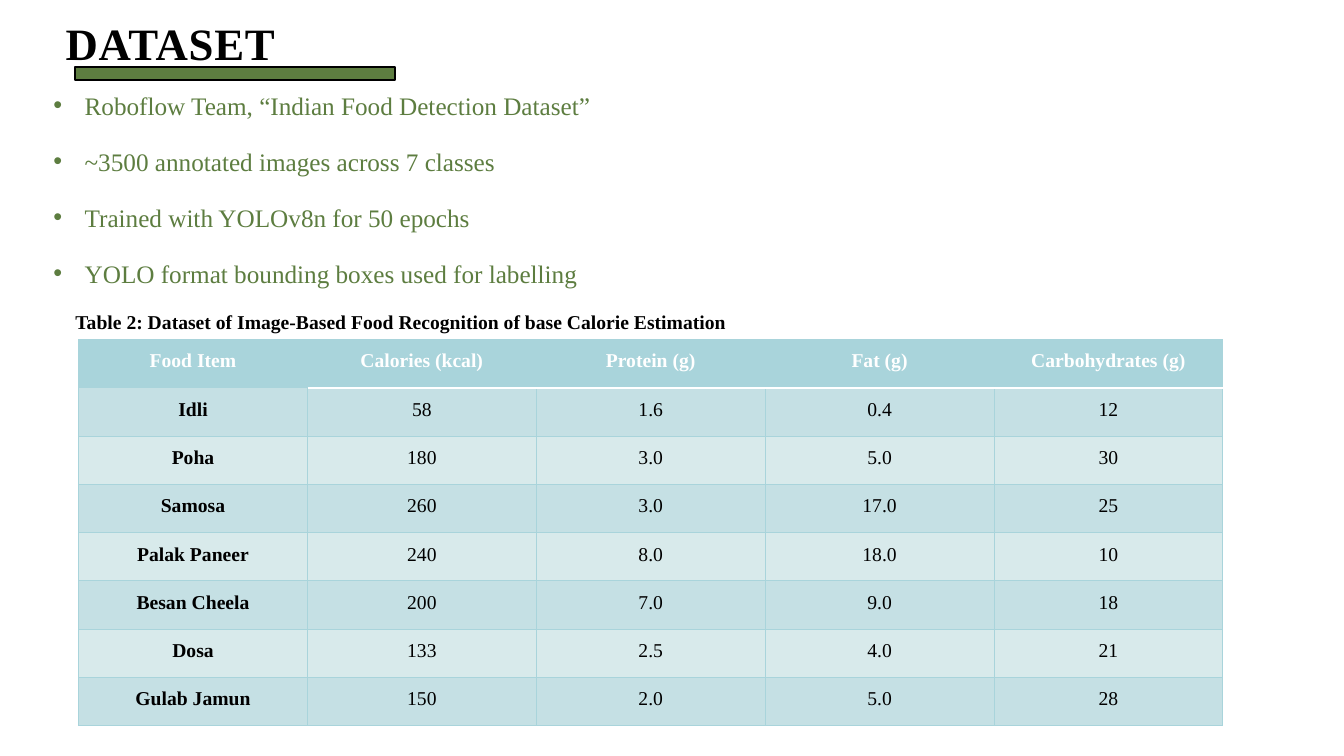
from dataclasses import dataclass

from lxml import etree
from pptx import Presentation
from pptx import util as u
from pptx.dml.color import RGBColor
from pptx.enum import shapes, text
from pptx.oxml import ns

PX = 9144


@dataclass(frozen=True)
class Theme:
    """Colours, font and type sizes of the slide."""
    font: str = "Times New Roman"
    ink: str = "000000"
    white: str = "FFFFFF"
    green: str = "5D7D40"
    teal: str = "A9D4DB"
    bands: tuple = ("C5E0E4", "D8EAEB")
    title: int = 32
    body: int = 18
    small: int = 14


T = Theme()
POINTS = (
    "Roboflow Team, “Indian Food Detection Dataset”",
    "~3500 annotated images across 7 classes",
    "Trained with YOLOv8n for 50 epochs",
    "YOLO format bounding boxes used for labelling",
)
CAPTION = "Table 2: Dataset of Image-Based Food Recognition of base Calorie Estimation"
FOODS = (
    ("Food Item", "Calories (kcal)", "Protein (g)", "Fat (g)", "Carbohydrates (g)"),
    ("Idli", "58", "1.6", "0.4", "12"),
    ("Poha", "180", "3.0", "5.0", "30"),
    ("Samosa", "260", "3.0", "17.0", "25"),
    ("Palak Paneer", "240", "8.0", "18.0", "10"),
    ("Besan Cheela", "200", "7.0", "9.0", "18"),
    ("Dosa", "133", "2.5", "4.0", "21"),
    ("Gulab Jamun", "150", "2.0", "5.0", "28"),
)


def rgb(code):
    """Turn a hex code into a colour."""
    return RGBColor.from_string(code)


def emu(*px):
    """Turn px lengths into EMU."""
    return [u.Emu(n * PX) for n in px]


def write(frame, lines, size, color=T.ink, bold=False, align=None, lead=None,
          gap=0, indent=0, track=0):
    """Fill a text frame with formatted paragraphs."""
    for i, line in enumerate(lines):
        para = frame.paragraphs[0] if i == 0 else frame.add_paragraph()
        if indent:
            props = para._p.get_or_add_pPr()
            props.set("marL", str(indent * PX))
            props.set("indent", str(-indent * PX))
            face = etree.SubElement(props, ns.qn("a:buFont"))
            face.set("typeface", "Arial")
            etree.SubElement(props, ns.qn("a:buChar")).set("char", "•")
        para.alignment = align
        para.line_spacing = lead
        para.space_before = u.Pt(gap if i else 0)
        run = para.add_run()
        run.text = line
        font = run.font
        font.name, font.size, font.bold = T.font, u.Pt(size), bold
        font.color.rgb = rgb(color)
        if track:
            run._r.get_or_add_rPr().set("spc", str(track))


def label(slide, box, lines, size, inset=(0, 0, 0, 0), anchor=text.MSO_ANCHOR.TOP, **form):
    """Place a wrapped text box."""
    frame = slide.shapes.add_textbox(*emu(*box)).text_frame
    frame.word_wrap = True
    frame.vertical_anchor = anchor
    (frame.margin_left, frame.margin_top,
     frame.margin_right, frame.margin_bottom) = emu(*inset)
    write(frame, lines, size, **form)


def edge(cell, side, color=T.teal, width=0.79):
    """Draw one border of a table cell."""
    line = etree.SubElement(cell._tc.get_or_add_tcPr(), ns.qn(f"a:ln{side}"))
    line.set("w", str(u.Pt(width)))
    fill = etree.SubElement(line, ns.qn("a:solidFill"))
    etree.SubElement(fill, ns.qn("a:srgbClr")).set("val", color)


def heading(slide, box):
    """Place the title and the bar under it."""
    x, y, w, h = box
    label(slide, box, ["DATASET"], T.title, anchor=text.MSO_ANCHOR.BOTTOM,
          bold=True, lead=0.8, track=50)
    bar = slide.shapes.add_shape(shapes.MSO_SHAPE.MATH_MINUS,
                                 *emu(x - 48, y + h - 22, 432, 52))
    bar.shadow.inherit = False
    bar.fill.solid()
    bar.fill.fore_color.rgb = rgb(T.green)
    bar.line.color.rgb = rgb(T.ink)
    bar.line.width = u.Pt(1.5)


def points(slide, box):
    """Place the bulleted facts."""
    label(slide, box, POINTS, T.body, color=T.green, inset=(0, 0, 25, 0),
          align=text.PP_ALIGN.JUSTIFY, lead=0.8, gap=22.7, indent=31)


def foods(slide, box):
    """Place the caption and the nutrition table below it."""
    x, y, w, h = box
    top = 34
    label(slide, (x - 13, y, 667, top), [CAPTION], T.small,
          inset=(10, 5, 10, 5), bold=True)
    table = slide.shapes.add_table(len(FOODS), len(FOODS[0]),
                                   *emu(x, y + top, w, h - top)).table
    table.horz_banding = False
    for r, row in enumerate(FOODS):
        for c, value in enumerate(row):
            cell = table.cell(r, c)
            head, name = r == 0, c == 0
            cell.margin_left, cell.margin_right = emu(7, 7)
            cell.margin_top = cell.margin_bottom = 0
            edge(cell, "L", width=1.5 if c == 1 and not head else 0.79)
            edge(cell, "R", width=1.5 if name and not head else 0.79)
            rule = {"color": T.white, "width": 1.5}
            edge(cell, "T", **(rule if r == 1 and not name else {}))
            edge(cell, "B", **(rule if head and not name else {}))
            cell.fill.solid()
            cell.fill.fore_color.rgb = rgb(T.teal if head else T.bands[(r - 1) % 2])
            write(cell.text_frame, [value], T.small, bold=head or name,
                  color=T.white if head else T.ink,
                  align=text.PP_ALIGN.CENTER, lead=1.5)


def main():
    """Build and save the slide."""
    deck = Presentation()
    deck.slide_width, deck.slide_height = emu(1333, 750)
    slide = deck.slides.add_slide(deck.slide_layouts[6])
    heading(slide, (65, 21, 742, 48))
    points(slide, (53, 95, 1264, 200))
    foods(slide, (78, 303, 1135, 417))
    deck.save("out.pptx")


if __name__ == "__main__":
    main()
